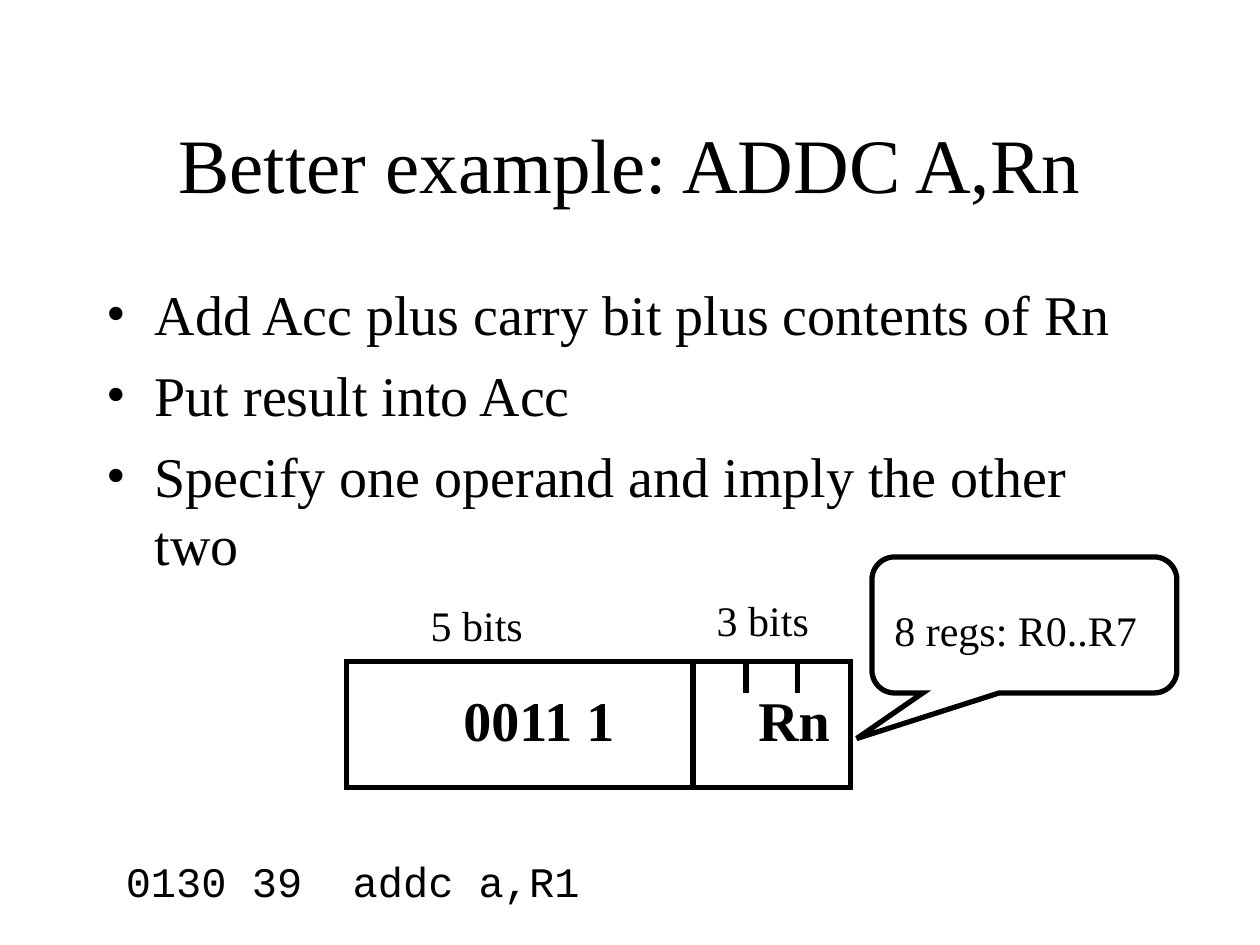
import pptx
import pptx.util
import pptx.dml.color
import pptx.enum.shapes
import pptx.enum.text
import lxml.etree

Inches, Pt = pptx.util.Inches, pptx.util.Pt
SHAPE = pptx.enum.shapes.MSO_SHAPE
ANCHOR = pptx.enum.text.MSO_ANCHOR
ALIGN = pptx.enum.text.PP_ALIGN
FIT = pptx.enum.text.MSO_AUTO_SIZE.SHAPE_TO_FIT_TEXT
BLACK, WHITE = "000000", "FFFFFF"
SERIF, MONO = "Times New Roman", "Courier New"


def paint(part, code):
    """Give a fill, line or font a solid colour."""
    if hasattr(part, "solid"):
        part.solid()
        part = part.fore_color
    else:
        part = part.color
    part.rgb = pptx.dml.color.RGBColor.from_string(code)


def style(para, **form):
    """Set the font of a paragraph from format values."""
    for key, val in form.items():
        setattr(para.font, key, val)
    paint(para.font, BLACK)


deck = pptx.Presentation()
deck.slide_width, deck.slide_height = Inches(10), Inches(7.5)
slide = deck.slides.add_slide(deck.slide_layouts[5])
shapes = slide.shapes

# Title
title = shapes.title
place = {"left": 0.75, "top": 0.67, "width": 8.5, "height": 1.25}
for key, val in place.items():
    setattr(title, key, Inches(val))
title.text_frame.text = "Better example: ADDC A,Rn"
title.text_frame.vertical_anchor = ANCHOR.MIDDLE
title.text_frame.paragraphs[0].alignment = ALIGN.CENTER
style(title.text_frame.paragraphs[0], size=Pt(44), name=SERIF)

# Bullet list
points = [
    "Add Acc plus carry bit plus contents of Rn",
    "Put result into Acc",
    "Specify one operand and imply the other two",
]
body = shapes.add_textbox(Inches(0.75), Inches(2.17), Inches(8.5), Inches(2.5))
frame = body.text_frame
frame.word_wrap = True
frame.text = "\n".join(points)
for i, para in enumerate(frame.paragraphs):
    props = para._p.get_or_add_pPr()
    props.set("marL", str(Inches(0.38)))
    props.set("indent", str(-Inches(0.38)))
    for tag, key, val in [("a:buFont", "typeface", SERIF),
                          ("a:buChar", "char", "•")]:
        mark = lxml.etree.SubElement(props, pptx.oxml.ns.qn(tag))
        mark.set(key, val)
    para.space_before = Pt(8 if i else 0)
    style(para, size=Pt(32), name=SERIF)

# Instruction word and callout
boxes = [
    (SHAPE.RECTANGLE, 2.75, 5.25, 4, 1, []),
    (SHAPE.ROUNDED_RECTANGULAR_CALLOUT, 6.92, 4.42, 2.42, 1.08,
     [-0.55, 0.835, 0.167]),
]
for kind, left, top, width, height, tweaks in boxes:
    box = shapes.add_shape(kind, Inches(left), Inches(top),
                           Inches(width), Inches(height))
    box.shadow.inherit = False
    paint(box.fill, WHITE)
    paint(box.line, BLACK)
    box.line.width = Pt(3)
    lxml.etree.SubElement(box.line._get_or_add_ln(), pptx.oxml.ns.qn("a:miter"))
    for i, val in enumerate(tweaks):
        box.adjustments[i] = val

# Field divider and bit ticks
for x, end in [(5.5, 6.25), (5.92, 5.5), (6.33, 5.5)]:
    line = shapes.add_connector(pptx.enum.shapes.MSO_CONNECTOR.STRAIGHT,
                                Inches(x), Inches(5.25), Inches(x), Inches(end))
    paint(line.line, BLACK)
    line.line.width = Pt(3)
    lxml.etree.SubElement(line._element.spPr, pptx.oxml.ns.qn("a:effectLst"))

# Labels
labels = [
    ("0011 1", 3.58, 5.39, 1.42, 0.64, 32, SERIF, True),
    ("5 bits", 3.32, 4.71, 0.93, 0.5, 24, SERIF, False),
    ("3 bits", 5.59, 4.67, 0.93, 0.5, 24, SERIF, False),
    ("0130 39  addc a,R1", 0.9, 6.74, 3.8, 0.5, 24, MONO, False),
    ("Rn", 5.92, 5.39, 0.77, 0.64, 32, SERIF, True),
    ("8 regs: R0..R7", 7, 4.75, 2.14, 0.5, 24, SERIF, False),
]
for text, left, top, width, height, size, face, bold in labels:
    label = shapes.add_textbox(Inches(left), Inches(top),
                               Inches(width), Inches(height))
    label.text_frame.word_wrap = False
    label.text_frame.auto_size = FIT
    label.text_frame.text = text
    style(label.text_frame.paragraphs[0], size=Pt(size), name=face, bold=bold)

deck.save("out.pptx")
